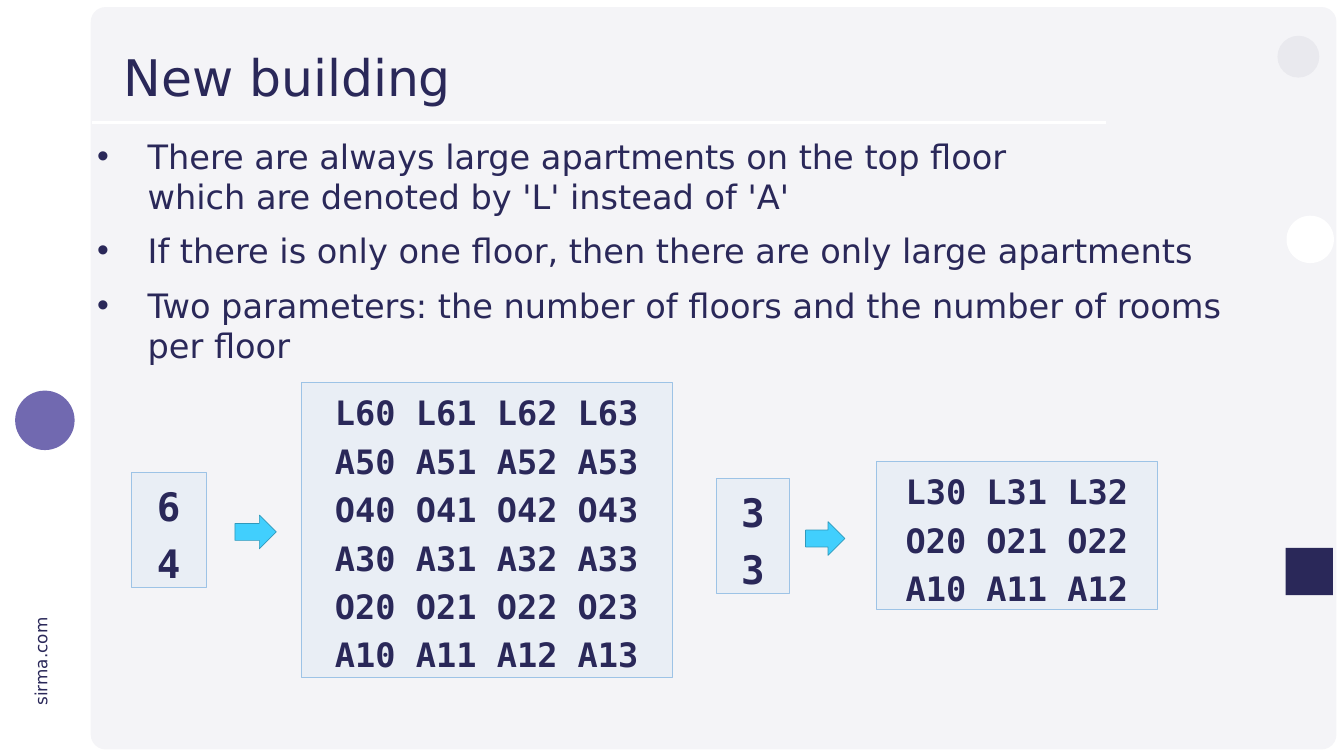
from lxml.etree import SubElement
from pptx import Presentation
from pptx.dml.color import RGBColor
from pptx.enum.shapes import MSO_CONNECTOR, MSO_SHAPE
from pptx.enum.text import MSO_ANCHOR, PP_ALIGN
from pptx.oxml.ns import qn
from pptx.util import Inches, Pt

cell = Inches(1)
cols, rows = 26.66, 15
sans, mono = "DejaVu Sans", "DejaVu Sans Mono"
navy, pale, white = "2A2859", "F4F4F7", "FFFFFF"


def draw(home, kind, spot, fill, edge=None):
    item = home.add_shape(kind, *[int(n * cell) for n in spot])
    item.shadow.inherit = False
    item.fill.solid()
    item.fill.fore_color.rgb = RGBColor.from_string(fill)
    if edge:
        item.line.color.rgb = RGBColor.from_string(edge)
        item.line.width = Pt(1)
    else:
        item.line.fill.background()
    return item


def write(frame, lines, size, face, bold=False):
    frame.text = "\n".join(lines)
    for para in frame.paragraphs:
        para.font.size = Pt(size)
        para.font.name = face
        para.font.bold = bold
        para.font.color.rgb = RGBColor.from_string(navy)


deck = Presentation()
deck.slide_width, deck.slide_height = int(cols * cell), rows * cell
slide = deck.slides.add_slide(deck.slide_layouts[6])
shapes = slide.shapes

panel = draw(shapes, MSO_SHAPE.ROUNDED_RECTANGLE, (1.8, 0.14, 24.71, 14.73), pale)
panel.adjustments[0] = 0.02

site = shapes.add_textbox(*[int(n * cell) for n in (-0.18, 12.86, 1.97, 0.5)])
site.rotation = 270
site.text_frame.word_wrap = False
write(site.text_frame, ["sirma.com"], 24, sans)

for kind, left, top, side, fill in [
    (MSO_SHAPE.OVAL, 25.34, 0.71, 0.83, "E9E9EE"),
    (MSO_SHAPE.RECTANGLE, 25.5, 10.87, 0.94, navy),
    (MSO_SHAPE.OVAL, 0.3, 7.75, 1.18, "7169B0"),
    (MSO_SHAPE.OVAL, 25.52, 4.28, 0.94, white),
]:
    draw(shapes, kind, (left, top, side, side), fill)

rule = shapes.add_connector(
    MSO_CONNECTOR.STRAIGHT, *[int(n * cell) for n in (1.83, 2.43, 21.93, 2.43)]
)
rule.line.color.rgb = RGBColor.from_string(white)
rule.line.width = Pt(3)
SubElement(rule._element.spPr, qn("a:effectLst"))

title = shapes.add_textbox(*[int(n * cell) for n in (2.35, 0.8, 19.57, 1.58)])
title.text_frame.word_wrap = True
title.text_frame.vertical_anchor = MSO_ANCHOR.MIDDLE
write(title.text_frame, ["New building"], 72, sans)
title.text_frame.paragraphs[0].line_spacing = 0.9

body = shapes.add_textbox(*[int(n * cell) for n in (1.83, 2.64, 23.51, 11.26)])
body.text_frame.word_wrap = True
points = [
    "There are always large apartments on the top floor\vwhich are denoted by 'L' instead of 'A'",
    "If there is only one floor, then there are only large apartments",
    "Two parameters: the number of floors and the number of rooms per floor",
]
body.text_frame.text = "\n".join(points)
for i, para in enumerate(body.text_frame.paragraphs):
    para.space_before = Pt(20 if i else 0)
    props = para._p.get_or_add_pPr()
    props.set("marL", str(cell))
    props.set("indent", str(-cell))
    SubElement(props, qn("a:buFont"), typeface="Arial")
    SubElement(props, qn("a:buChar"), char="•")
    para.font.size = Pt(48)
    para.font.name = sans
    para.font.color.rgb = RGBColor.from_string(navy)

for floors, rooms, entry, arrow, plan in [
    (6, 4, (2.6, 9.37, 1.49, 2.28), (4.66, 10.22, 0.82, 0.67), (5.98, 7.58, 7.35, 5.85)),
    (3, 3, (14.21, 9.49, 1.45, 2.28), (15.98, 10.35, 0.78, 0.67), (17.38, 9.16, 5.58, 2.94)),
]:
    group = shapes.add_group_shape().shapes
    draw(group, MSO_SHAPE.RIGHT_ARROW, arrow, "41CFFD", "3099BB")
    flats = []
    for floor in range(floors, 0, -1):
        mark = "L" if floor == floors else "AO"[floor % 2 == 0]
        flats.append(" ".join(f"{mark}{floor}{room}" for room in range(rooms)))
    for spot, lines, size in [(entry, [str(floors), str(rooms)], 56), (plan, flats, 48)]:
        box = draw(group, MSO_SHAPE.RECTANGLE, spot, "BDD7EE", "9DC3E6")
        tint = box._element.spPr.find(qn("a:solidFill")).find(qn("a:srgbClr"))
        SubElement(tint, qn("a:alpha"), val="20000")
        box.text_frame.word_wrap = True
        write(box.text_frame, lines, size, mono, True)
        for para in box.text_frame.paragraphs:
            para.alignment = PP_ALIGN.CENTER
            para.line_spacing = 1.2

deck.save("out.pptx")
